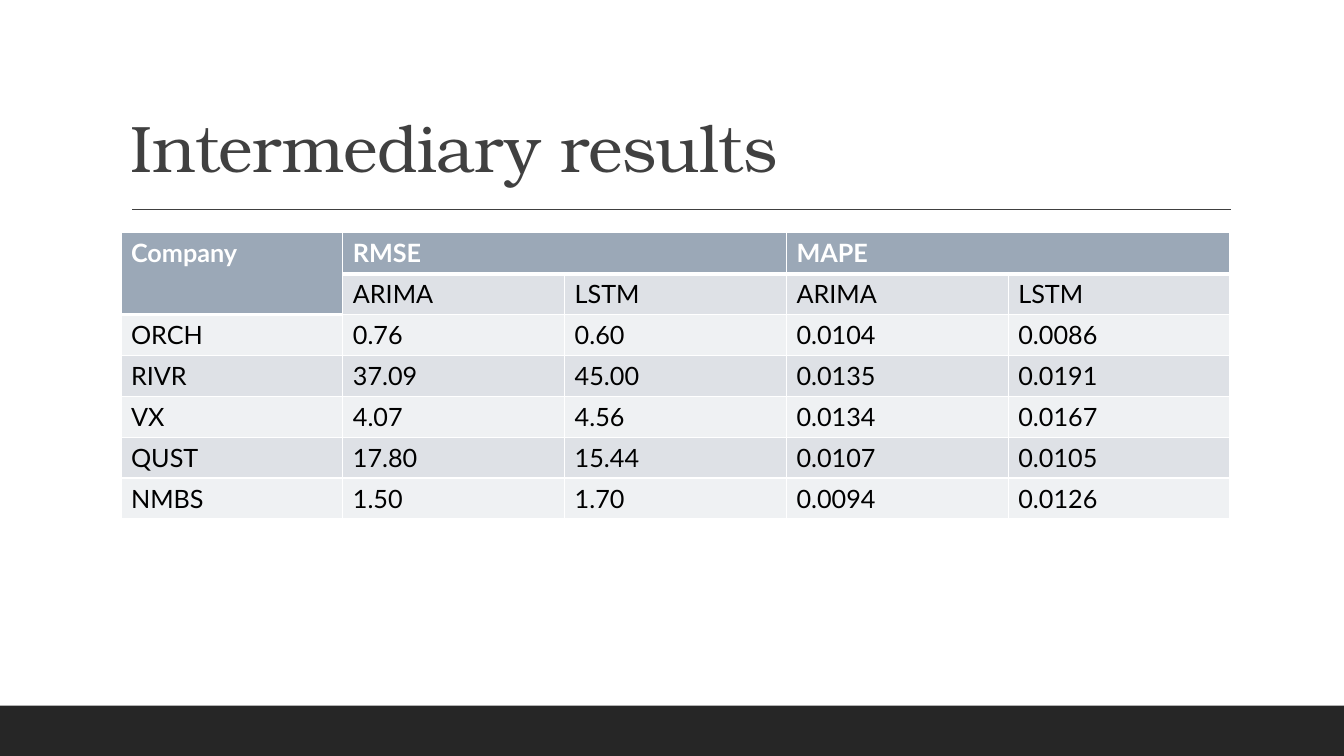
import pptx
import pptx.dml.color
import pptx.enum.shapes
import pptx.enum.text
import pptx.oxml
import pptx.oxml.ns
import pptx.util
from pptx.util import Inches

TITLE = "Intermediary results"
ROWS = [
    ["Company", "RMSE", "", "MAPE", ""],
    ["", "ARIMA", "LSTM", "ARIMA", "LSTM"],
    ["ORCH", "0.76", "0.60", "0.0104", "0.0086"],
    ["RIVR", "37.09", "45.00", "0.0135", "0.0191"],
    ["VX", "4.07", "4.56", "0.0134", "0.0167"],
    ["QUST", "17.80", "15.44", "0.0107", "0.0105"],
    ["NMBS", "1.50", "1.70", "0.0094", "0.0126"],
]
MERGES = [((0, 0), (1, 0)), ((0, 1), (0, 2)), ((0, 3), (0, 4))]
HEADER, BANDS = "9BA8B7", ("EFF1F3", "DEE1E6")
LEFT, WIDTH = 1.2, 11
TABLE_TOP, TABLE_HEIGHT = 2.31, 2.84


def color(value):
    return pptx.dml.color.RGBColor.from_string(value)


def write(tf, text, size=18, font="Lato", fill="000000", bold=False, spacing=None, leading=None):
    p = tf.paragraphs[0]
    if leading:
        p.line_spacing = leading
    r = p.add_run()
    r.text = text
    r.font.size = pptx.util.Pt(size)
    r.font.name = font
    r.font.bold = bold
    r.font.color.rgb = color(fill)
    if spacing:
        r.font._element.set("spc", str(int(spacing * 100)))


def set_borders(cell, top, bottom):
    tcPr = cell._tc.get_or_add_tcPr()
    for i, (side, width) in enumerate(zip("LRTB", (1, 1, top, bottom))):
        tcPr.insert(i, pptx.oxml.parse_xml(
            f'<a:ln{side} {pptx.oxml.ns.nsdecls("a")} w="{pptx.util.Pt(width)}">'
            f'<a:solidFill><a:srgbClr val="FFFFFF"/></a:solidFill></a:ln{side}>'))


def add_footer_band(s):
    sp = s.shapes.add_shape(pptx.enum.shapes.MSO_SHAPE.RECTANGLE,
                            0, Inches(7), Inches(13.33), Inches(0.5))
    sp.shadow.inherit = False
    sp.fill.solid()
    sp.fill.fore_color.rgb = color("262626")
    sp.line.fill.background()


def add_rule(s):
    line = s.shapes.add_connector(pptx.enum.shapes.MSO_CONNECTOR.STRAIGHT,
                                  Inches(1.31), Inches(2.08), Inches(12.21), Inches(2.08))
    line.line.color.rgb = color("404040")
    line.line.width = pptx.util.Pt(1)
    line._element.spPr.append(
        pptx.oxml.parse_xml(f'<a:effectLst {pptx.oxml.ns.nsdecls("a")}/>'))


def add_title(s):
    tf = s.shapes.add_textbox(Inches(LEFT), Inches(0.31), Inches(WIDTH), Inches(1.59)).text_frame
    tf.word_wrap = True
    tf.vertical_anchor = pptx.enum.text.MSO_ANCHOR.BOTTOM
    write(tf, TITLE, size=47, font="TeX Gyre Bonum", fill="404040", spacing=-0.5, leading=0.9)


def add_results(s):
    table = s.shapes.add_table(len(ROWS), len(ROWS[0]), Inches(LEFT), Inches(TABLE_TOP),
                               Inches(WIDTH), Inches(TABLE_HEIGHT)).table
    for row in table.rows:
        row.height = Inches(TABLE_HEIGHT / len(ROWS))
    for i, row in enumerate(ROWS):
        for j, text in enumerate(row):
            cell = table.cell(i, j)
            header_rows = 2 if j == 0 else 1
            is_header = i < header_rows
            cell.fill.solid()
            cell.fill.fore_color.rgb = color(HEADER if is_header else BANDS[i % 2])
            set_borders(cell, top=3 if i == header_rows else 1, bottom=3 if is_header else 1)
            if text:
                write(cell.text_frame, text, fill="FFFFFF" if is_header else "000000",
                      bold=is_header)
    for first, last in MERGES:
        table.cell(*first).merge(table.cell(*last))


def main():
    prs = pptx.Presentation()
    prs.slide_width, prs.slide_height = Inches(13.33), Inches(7.5)
    s = prs.slides.add_slide(prs.slide_layouts[6])
    add_footer_band(s)
    add_rule(s)
    add_title(s)
    add_results(s)
    prs.save("out.pptx")


if __name__ == "__main__":
    main()
